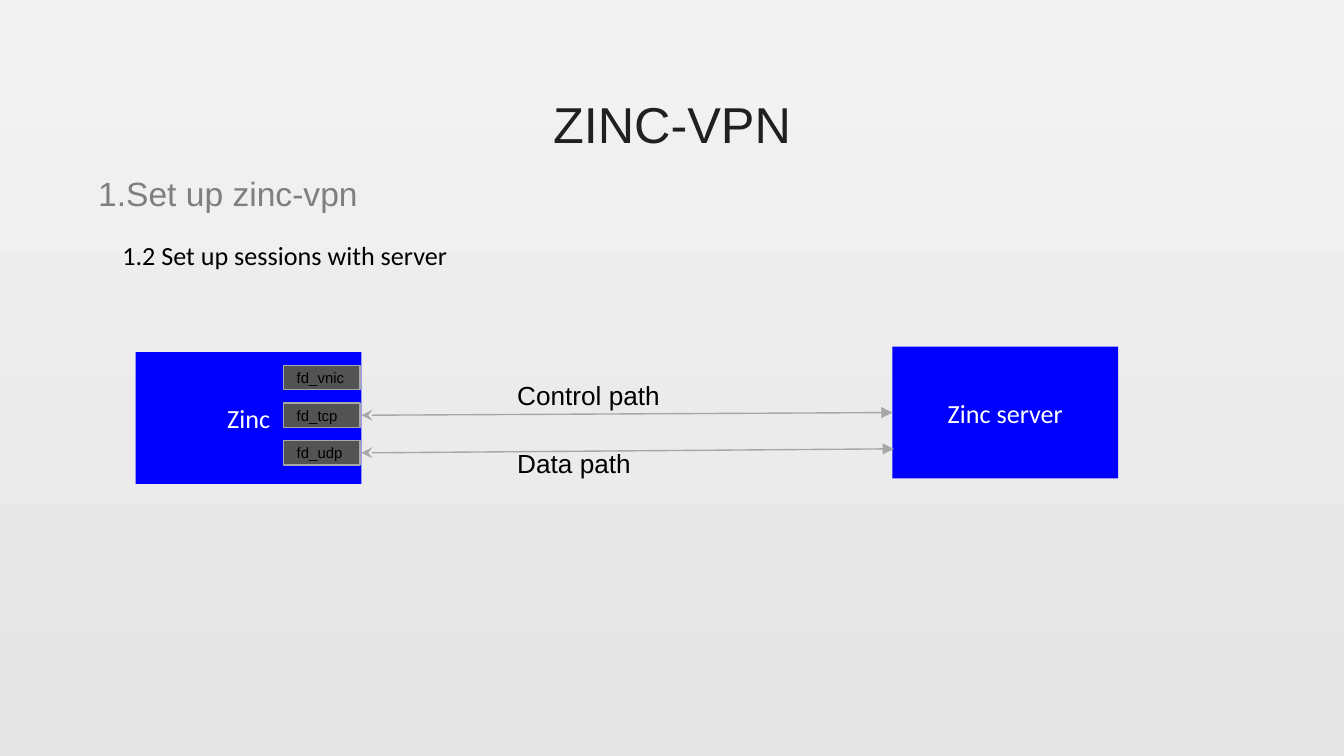
from pptx import Presentation
from pptx.dml.color import RGBColor
from pptx.enum.shapes import MSO_CONNECTOR as Link, MSO_SHAPE as Shape
from pptx.enum.text import MSO_ANCHOR as Anchor, PP_ALIGN as Align
from pptx.oxml.ns import qn
from pptx.util import Inches, Pt
from lxml.etree import SubElement as Sub

BLUE, DARK, GREY, BLACK, WHITE = "0000FF", "535353", "A7A7A7", "000000", "FFFFFF"
WIDE = 10


def color(code):
    return RGBColor.from_string(code)


def apply(item, style):
    for key, value in style.items():
        setattr(item, key, value)


def write(shape, text, size, font, code, pad=0.04, anchor=Anchor.TOP,
          align=Align.LEFT, space=1.0):
    sides = ("left", "top", "right", "bottom")
    frame = shape.text_frame
    apply(frame, {f"margin_{side}": Inches(pad) for side in sides})
    apply(frame, {"word_wrap": True, "vertical_anchor": anchor})
    para = frame.paragraphs[0]
    apply(para, {"alignment": align, "line_spacing": space})
    run = para.add_run()
    run.text = text
    apply(run.font, {"size": Pt(size), "name": font})
    run.font.color.rgb = color(code)


def label(slide, place, *args, **style):
    box = slide.shapes.add_textbox(*map(Inches, place))
    write(box, *args, **style)


def block(slide, place, fill, edge, *args, **style):
    rect = slide.shapes.add_shape(Shape.RECTANGLE, *map(Inches, place))
    rect.shadow.inherit = False
    rect.fill.solid()
    rect.fill.fore_color.rgb = color(fill)
    if edge:
        rect.line.color.rgb = color(edge)
        rect.line.width = Pt(0.75)
    else:
        rect.line.fill.background()
    write(rect, *args, anchor=Anchor.MIDDLE, **style)


def arrow(slide, start, end):
    link = slide.shapes.add_connector(Link.STRAIGHT, *map(Inches, start + end))
    link.line.color.rgb = color(GREY)
    link.line.width = Pt(0.75)
    edge = link.line._get_or_add_ln()
    for tag, kind in (("a:headEnd", "stealth"), ("a:tailEnd", "triangle")):
        Sub(edge, qn(tag), type=kind)
    Sub(link._element.spPr, qn("a:effectLst"))


def shade(slide):
    fill = slide.background.fill
    fill.gradient()
    fill.gradient_angle = 270
    for stop, code, spot in zip(fill.gradient_stops, ("F2F2F2", "E7E6E6"), (0, 1)):
        stop.color.rgb = color(code)
        stop.position = spot


def main():
    deck = Presentation()
    apply(deck, {"slide_width": Inches(WIDE), "slide_height": Inches(WIDE * 9 / 16)})
    slide = deck.slides.add_slide(deck.slide_layouts[6])
    shade(slide)

    label(slide, (0.69, 0.6, 8.62, 0.59), "ZINC-VPN", 27, "Arial", "202020",
          anchor=Anchor.BOTTOM, align=Align.CENTER, space=0.9)
    label(slide, (0.69, 1.19, 8.62, 0.55), "1.Set up zinc-vpn", 18, "Arial",
          "7F7F7F", space=1.2)
    label(slide, (0.87, 1.74, 5.67, 0.29), "1.2 Set up sessions with server",
          14, "Calibri", BLACK)

    for left, top, name in ((1.01, 2.62, "Zinc"), (6.64, 2.58, "Zinc server")):
        block(slide, (left, top, 1.68, 0.98), BLUE, None, name, 14, "Calibri",
              WHITE, align=Align.CENTER)
    for row, name in enumerate(("fd_vnic", "fd_tcp", "fd_udp")):
        block(slide, (2.11, 2.72 + 0.28 * row, 0.57, 0.18), DARK, GREY, name, 8,
              "Arial", BLACK, pad=0.1)

    arrow(slide, (2.69, 3.09), (6.64, 3.07))
    arrow(slide, (2.69, 3.37), (6.65, 3.34))
    for top, name in ((2.72, "Control path"), (3.23, "Data path")):
        label(slide, (3.75, top, 1.82, 0.29), name, 14, "Arial", BLACK, pad=0.1)

    deck.save("out.pptx")


main()
